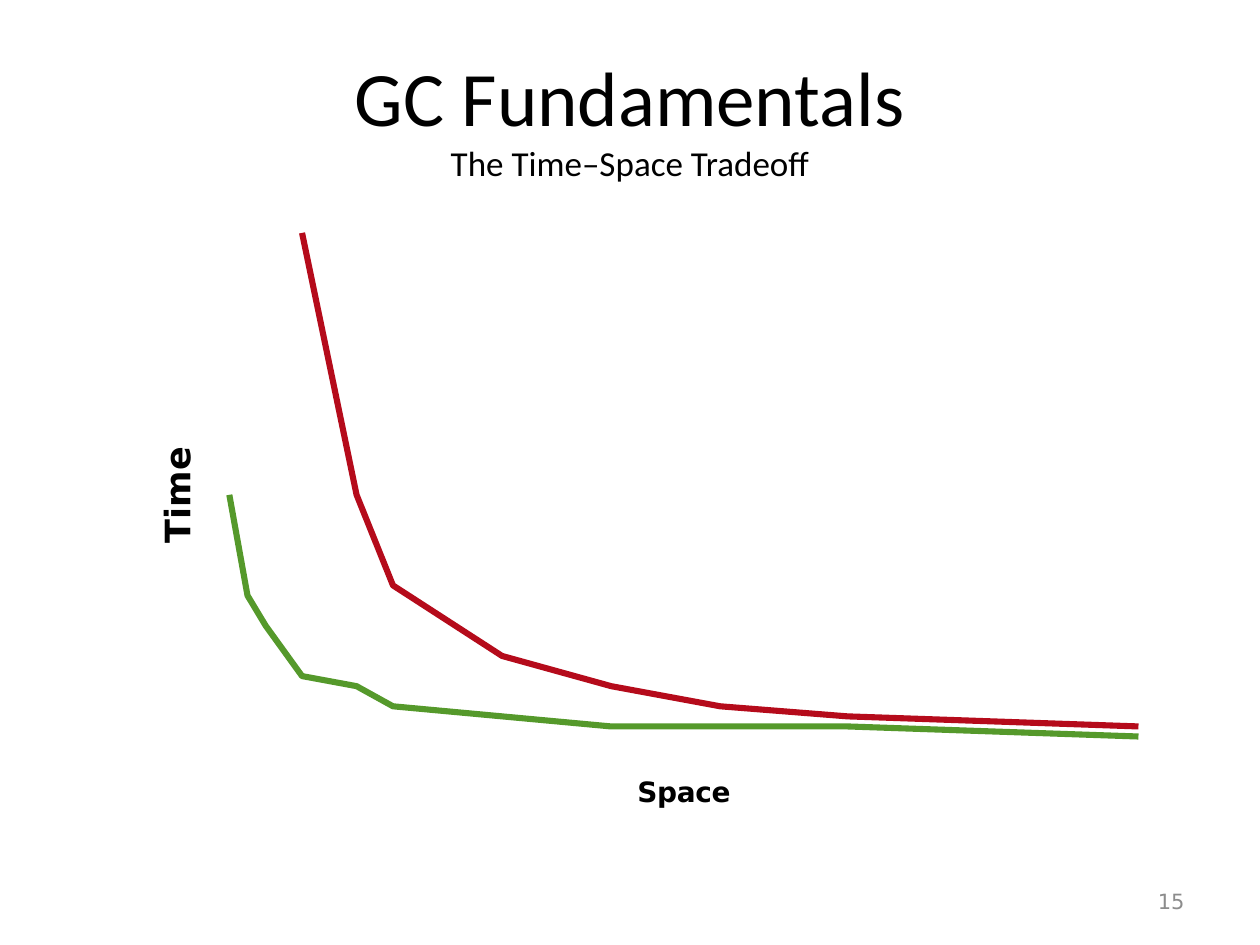
from pptx import Presentation
from pptx import util as u
from pptx.chart import data
from pptx.dml.color import RGBColor
from pptx.enum import chart as ch, text
from pptx.oxml import parse_xml
from pptx.oxml.ns import nsdecls

SPACE = [1, 1.1, 1.2, 1.4, 1.7, 1.9, 2.5, 3.1, 3.7, 4.4, 6]
SERIES = [
    ("Series 1", "B50B1B", [None] * 3 + [100, 74, 65, 58, 55, 53, 52, 51]),
    ("Series 2", "55992B", [74, 64, 61, 56, 55, 53, 52, 51, 51, 51, 50]),
]


def paint(item, tone):
    item.rgb = RGBColor.from_string(tone)


def place(shape, box):
    shape.left, shape.top, shape.width, shape.height = map(u.Inches, box)


def add_run(para, words, size, face, tone="000000", bold=False):
    run = para.add_run()
    run.text = words
    font = run.font
    font.size, font.name, font.bold = u.Pt(size), face, bold
    paint(font.color, tone)


def add_title(slide, box):
    title = slide.shapes.title
    place(title, box)
    title.text_frame.vertical_anchor = text.MSO_ANCHOR.MIDDLE
    para = title.text_frame.paragraphs[0]
    para.alignment = text.PP_ALIGN.CENTER
    add_run(para, "GC Fundamentals", 44, "Calibri")
    para.add_line_break()
    add_run(para, "The Time–Space Tradeoff", 20, "Calibri")


def add_number(slide, box):
    frame = slide.shapes.add_textbox(*map(u.Inches, box)).text_frame
    frame.word_wrap = True
    frame.vertical_anchor = text.MSO_ANCHOR.MIDDLE
    para = frame.paragraphs[0]
    para.alignment = text.PP_ALIGN.RIGHT
    add_run(para, "15", 12, "DejaVu Sans", "8C8C8C")


def set_axis(axis, words, size, low, high, turn):
    axis.minimum_scale, axis.maximum_scale = low, high
    axis.has_major_gridlines = False
    axis.visible = False
    frame = axis.axis_title.text_frame
    add_run(frame.paragraphs[0], words, size, "DejaVu Sans", bold=True)
    frame._txBody.bodyPr.set("rot", str(turn * 60000))


def set_plot(chart, box):
    parts = "".join(
        f'<c:{key} val="{val}"/>' for key, val in zip("xywh", box))
    area = chart._chartSpace.chart.plotArea
    for old in area.findall("{*}layout"):
        area.remove(old)
    area.insert(0, parse_xml(
        f'<c:layout {nsdecls("c")}><c:manualLayout>'
        '<c:layoutTarget val="inner"/><c:xMode val="edge"/>'
        f'<c:yMode val="edge"/>{parts}</c:manualLayout></c:layout>'))


def drop_gaps(chart):
    for point in chart._chartSpace.xpath('.//c:pt[c:v="None"]'):
        point.getparent().remove(point)


def add_curves(slide, box):
    points = data.XyChartData()
    for name, tone, times in SERIES:
        series = points.add_series(name)
        for x, y in zip(SPACE, times):
            series.add_data_point(x, y)
    kind = ch.XL_CHART_TYPE.XY_SCATTER_LINES_NO_MARKERS
    chart = slide.shapes.add_chart(kind, *map(u.Inches, box), points).chart
    drop_gaps(chart)
    chart.has_legend = chart.has_title = False
    chart.font.size, chart.font.name = u.Pt(20), "DejaVu Sans"
    paint(chart.font.color, "000000")
    chart.plots[0].vary_by_categories = False
    for series, (name, tone, times) in zip(chart.plots[0].series, SERIES):
        series.smooth = False
        line = series.format.line
        line.width = u.Pt(3.5)
        line.fill.solid()
        paint(line.color, tone)
    set_axis(chart.category_axis, "Space", 16, 1, 6, 0)
    set_axis(chart.value_axis, "Time", 20, 48, 100, -90)
    set_plot(chart, (0.1, 0.02, 0.88, 0.84))


def main():
    deck = Presentation()
    deck.slide_width, deck.slide_height = u.Inches(10), u.Inches(7.5)
    slide = deck.slides.add_slide(deck.slide_layouts[5])
    add_title(slide, (0.5, 0.3, 9, 1.25))
    add_number(slide, (7.17, 6.95, 2.33, 0.4))
    add_curves(slide, (1, 1.75, 8.2, 4.95))
    deck.save("out.pptx")


if __name__ == "__main__":
    main()
